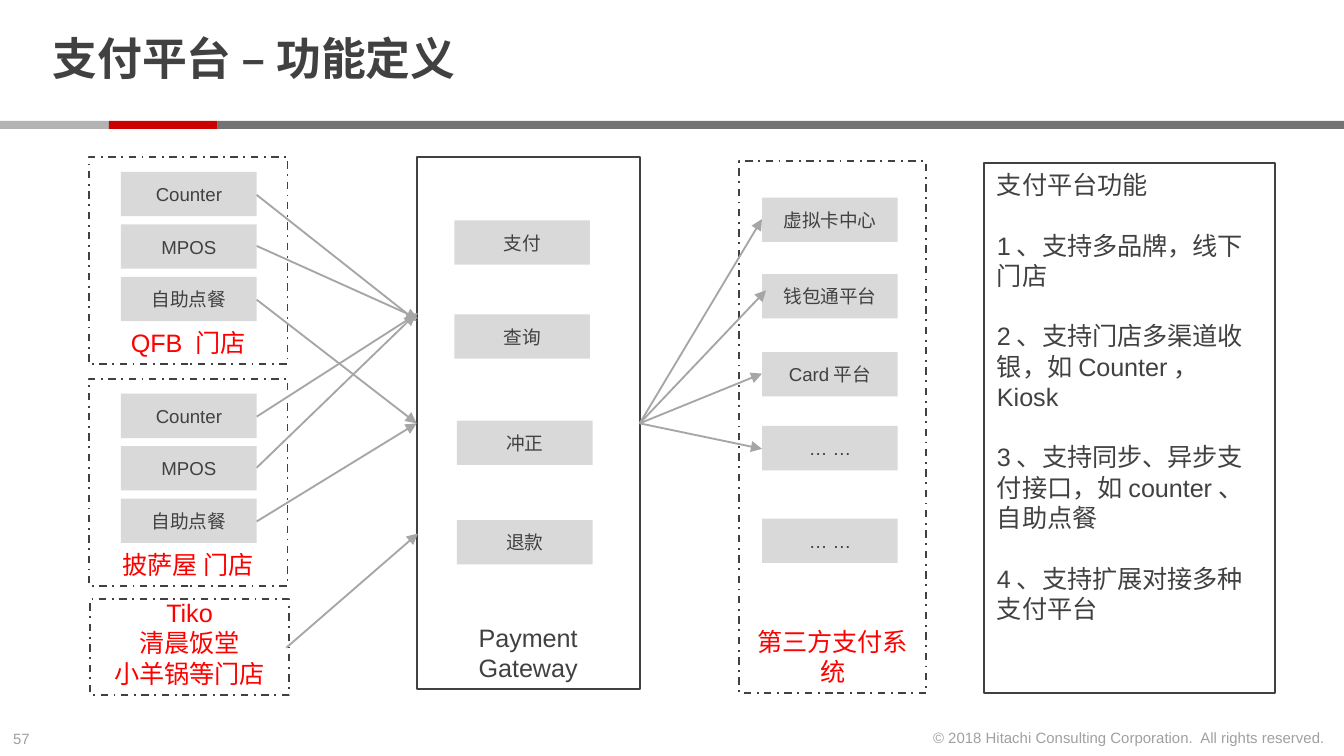
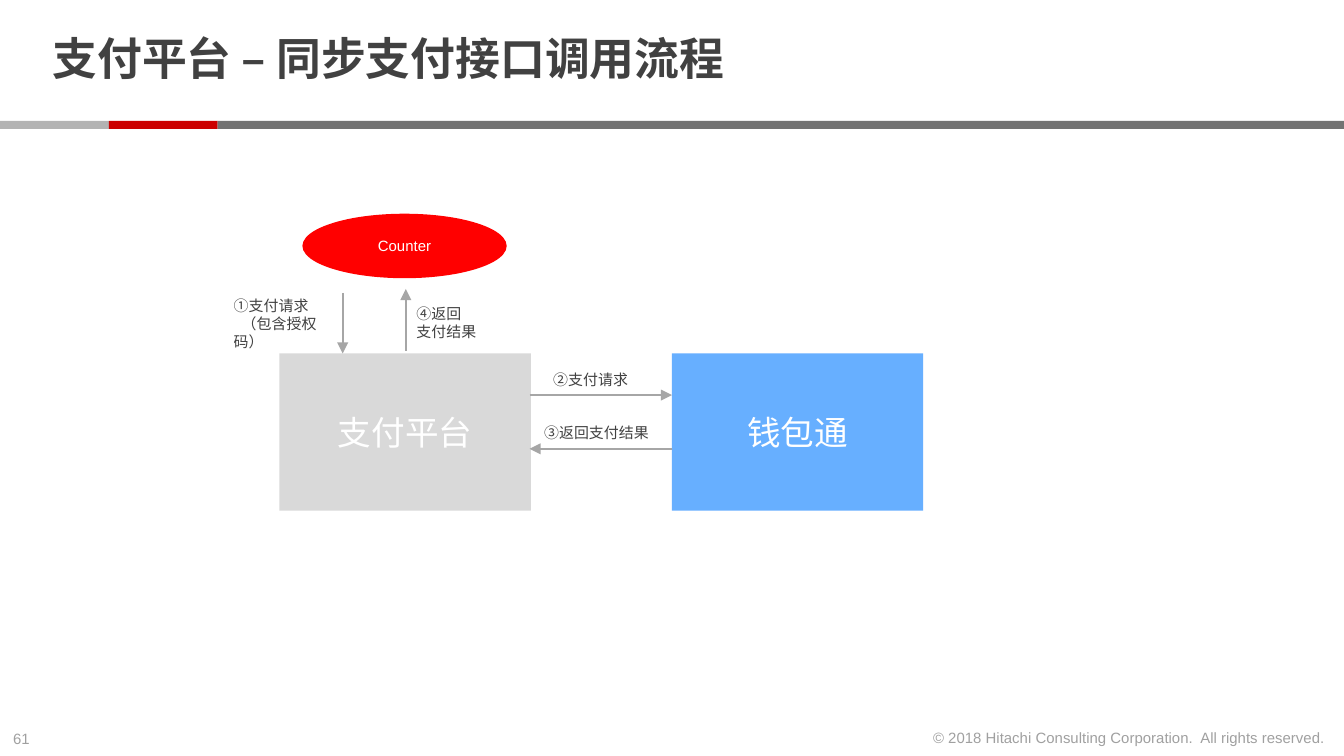
"""Build two slides on a payment platform: its functions and its synchronous call flow."""
from dataclasses import dataclass
from typing import Iterable, Optional

import lxml.etree
import pptx
import pptx.dml.color
import pptx.enum.dml
import pptx.enum.shapes
import pptx.enum.text
import pptx.oxml.ns
import pptx.presentation
import pptx.slide
import pptx.text.text
import pptx.util

Inches = pptx.util.Inches
Pt = pptx.util.Pt
Align = pptx.enum.text.PP_ALIGN
Anchor = pptx.enum.text.MSO_ANCHOR
Preset = pptx.enum.shapes.MSO_SHAPE


@dataclass(frozen=True)
class Theme:
    """Colours, fonts and type sizes of the deck."""
    ink: str = "414141"
    faint: str = "A0A0A0"
    red: str = "FF0000"
    white: str = "FFFFFF"
    card: str = "D9D9D9"
    blue: str = "67AFFF"
    arrow: str = "A6A6A6"
    band_light: str = "B3B3B3"
    band_red: str = "CC0000"
    band_dark: str = "737373"
    body_font: str = "Arial"
    title_font: str = "Noto Sans CJK SC"
    title_size: float = 24
    system_size: float = 18
    group_size: float = 13.5
    card_size: float = 10
    small_size: float = 8
    stroke: float = 1


THEME = Theme()
COPYRIGHT = "© 2018 Hitachi Consulting Corporation.\u00a0 All rights reserved."
SLIDE_WIDTH = Inches(10)
SLIDE_HEIGHT = SLIDE_WIDTH * 9 // 16
CARD_WIDTH, CARD_HEIGHT = 1.01, 0.33


@dataclass(frozen=True)
class Box:
    """A shape, or a plain text box when it has no preset."""
    left: float
    top: float
    width: float
    height: float
    text: tuple[str, ...] = ()
    size: float = THEME.card_size
    color: str = THEME.ink
    fill: Optional[str] = None
    outlined: bool = False
    dashed: bool = False
    preset: Optional[Preset] = Preset.RECTANGLE
    align: Align = Align.CENTER
    anchor: Anchor = Anchor.MIDDLE
    wrap: bool = True
    gap: float = 0
    last_indent: float = 0


@dataclass(frozen=True)
class Arrow:
    """A straight arrow between two points."""
    start: tuple[float, float]
    end: tuple[float, float]


def rgb(value: str) -> pptx.dml.color.RGBColor:
    """Turn a hex string into a colour."""
    return pptx.dml.color.RGBColor.from_string(value)


def style_font(paragraph: pptx.text.text._Paragraph, name: str, size: float,
               color: str, bold: bool = False) -> None:
    """Set the font of a whole paragraph."""
    paragraph.font.name = name
    paragraph.font.size = Pt(size)
    paragraph.font.bold = bold
    paragraph.font.color.rgb = rgb(color)


def draw_box(slide: pptx.slide.Slide, box: Box) -> None:
    """Draw one box with its text."""
    frame = [Inches(n) for n in (box.left, box.top, box.width, box.height)]
    if box.preset is None:
        shape = slide.shapes.add_textbox(*frame)
    else:
        shape = slide.shapes.add_shape(box.preset, *frame)
        shape.shadow.inherit = False
        if box.fill:
            shape.fill.solid()
            shape.fill.fore_color.rgb = rgb(box.fill)
        else:
            shape.fill.background()
        if box.outlined:
            shape.line.color.rgb = rgb(THEME.ink)
            shape.line.width = Pt(THEME.stroke)
            if box.dashed:
                shape.line.dash_style = pptx.enum.dml.MSO_LINE.DASH_DOT
        else:
            shape.line.fill.background()
    if not box.text:
        return
    body = shape.text_frame
    body.word_wrap = box.wrap
    body.vertical_anchor = box.anchor
    body.text = "\n".join(box.text)
    for index, paragraph in enumerate(body.paragraphs):
        paragraph.alignment = box.align
        if index and box.gap:
            paragraph.space_before = Pt(box.gap)
        style_font(paragraph, THEME.body_font, box.size, box.color)
    if box.last_indent:
        properties = body.paragraphs[-1]._p.get_or_add_pPr()
        properties.set("marL", "0")
        properties.set("indent", str(Inches(box.last_indent)))


def draw_arrow(slide: pptx.slide.Slide, arrow: Arrow) -> None:
    """Draw one arrow with a triangular head at its end."""
    connector = slide.shapes.add_connector(
        pptx.enum.shapes.MSO_CONNECTOR.STRAIGHT,
        *(Inches(n) for n in arrow.start + arrow.end))
    connector.line.color.rgb = rgb(THEME.arrow)
    connector.line.width = Pt(THEME.stroke)
    qn = pptx.oxml.ns.qn
    head = lxml.etree.SubElement(connector.line._get_or_add_ln(), qn("a:tailEnd"))
    head.set("type", "triangle")
    lxml.etree.SubElement(connector._element.spPr, qn("a:effectLst"))


def draw_all(slide: pptx.slide.Slide, boxes: Iterable[Box], arrows: Iterable[Arrow]) -> None:
    """Draw the boxes, then the arrows over them."""
    for box in boxes:
        draw_box(slide, box)
    for arrow in arrows:
        draw_arrow(slide, arrow)


def add_titled_slide(deck: pptx.presentation.Presentation, heading: str,
                     number: int) -> pptx.slide.Slide:
    """Add a slide with its title, colour band and footer."""
    slide = deck.slides.add_slide(deck.slide_layouts[5])
    title = slide.shapes.title
    title.left, title.top = Inches(0.29), Inches(0.06)
    title.width, title.height = Inches(7.71), Inches(0.8)
    body = title.text_frame
    body.text = heading
    body.auto_size = pptx.enum.text.MSO_AUTO_SIZE.NONE
    body.vertical_anchor = Anchor.MIDDLE
    body.margin_left = body.margin_right = Inches(0.1)
    body.margin_top = body.margin_bottom = 0
    paragraph = body.paragraphs[0]
    paragraph.alignment = Align.LEFT
    paragraph.line_spacing = 0.85
    style_font(paragraph, THEME.title_font, THEME.title_size, THEME.ink, bold=True)

    bands = ((0, 0.81, THEME.band_light), (0.81, 0.81, THEME.band_red),
             (1.62, 8.38, THEME.band_dark))
    for left, width, fill in bands:
        draw_box(slide, Box(left, 0.9, width, 0.06, fill=fill))
    footers = ((0, 5.38, 0.34, str(number), Align.LEFT),
               (6.8, 5.37, 3.16, COPYRIGHT, Align.RIGHT))
    for left, top, width, text, align in footers:
        draw_box(slide, Box(left, top, width, 0.24, (text,), THEME.small_size, THEME.faint,
                            preset=None, align=align, anchor=Anchor.TOP, wrap=False))
    return slide


def group(left: float, top: float, width: float, height: float, *text: str,
          dashed: bool = True) -> Box:
    """Describe an outlined group labelled at its foot."""
    return Box(left, top, width, height, text, THEME.group_size,
               THEME.red if dashed else THEME.ink,
               outlined=True, dashed=dashed, anchor=Anchor.BOTTOM)


def card(left: float, top: float, label: str) -> Box:
    """Describe a grey card."""
    return Box(left, top, CARD_WIDTH, CARD_HEIGHT, (label,), fill=THEME.card)


def build_functions(deck: pptx.presentation.Presentation) -> None:
    """Build the slide that defines the platform's functions."""
    slide = add_titled_slide(deck, "支付平台 – 功能定义", 57)
    boxes = [
        group(3.1, 1.17, 1.66, 3.96, "Payment Gateway", dashed=False),
        group(5.5, 1.2, 1.39, 3.96, "第三方支付系统"),
        group(0.67, 4.46, 1.48, 0.71, "Tiko", "清晨饭堂", "小羊锅等门店"),
        Box(7.32, 1.21, 2.17, 3.95,
            ("支付平台功能", "1、支持多品牌，线下门店",
             "2、支持门店多渠道收银，如Counter，Kiosk",
             "3、支持同步、异步支付接口，如counter、自助点餐",
             "4、支持扩展对接多种支付平台"),
            THEME.group_size, outlined=True, align=Align.LEFT, anchor=Anchor.TOP, gap=16.3),
    ]
    for store_top, store in ((1.17, "QFB 门店"), (2.82, "披萨屋 门店")):
        boxes.append(group(0.66, store_top, 1.48, 1.54, store))
        boxes += [card(0.9, store_top + 0.11 + 0.39 * row, channel)
                  for row, channel in enumerate(("Counter", "MPOS", "自助点餐"))]
    boxes += [card(*service) for service in (
        (3.38, 1.64, "支付"), (3.38, 2.34, "查询"), (3.4, 3.13, "冲正"), (3.4, 3.87, "退款"))]
    boxes += [card(5.67, top, provider) for top, provider in (
        (1.47, "虚拟卡中心"), (2.04, "钱包通平台"), (2.62, "Card平台"),
        (3.17, "… …"), (3.86, "… …"))]

    channel_routes = ((1.45, 3.1, 2.39), (1.83, 3.11, 2.37), (2.23, 3.1, 3.15),
                      (3.48, 3.09, 2.34), (3.1, 3.11, 2.33), (3.88, 3.1, 3.15))
    arrows = [Arrow((0.9 + CARD_WIDTH, start), (left, end))
              for start, left, end in channel_routes]
    arrows.append(Arrow((2.13, 4.82), (3.11, 3.97)))
    arrows += [Arrow((4.76, 3.15), provider)
               for provider in ((5.67, 1.63), (5.7, 2.16), (5.67, 2.78), (5.67, 3.34))]
    draw_all(slide, boxes, arrows)


def step(left: float, top: float, width: float, height: float, *text: str,
         align: Align = Align.LEFT, last_indent: float = 0) -> Box:
    """Describe the label of one step in the call flow."""
    return Box(left, top, width, height, text, THEME.small_size, preset=None,
               align=align, last_indent=last_indent)


def build_call_flow(deck: pptx.presentation.Presentation) -> None:
    """Build the slide that shows the synchronous payment calls."""
    slide = add_titled_slide(deck, "支付平台 – 同步支付接口调用流程", 61)
    boxes = [Box(2.25, 1.59, 1.52, 0.48, ("Counter",), THEME.small_size, THEME.white,
                 fill=THEME.red, preset=Preset.OVAL)]
    boxes += [Box(left, 2.63, 1.87, 1.17, (system,), THEME.system_size, THEME.white, fill=fill)
              for left, system, fill in ((2.08, "支付平台", THEME.card),
                                         (5, "钱包通", THEME.blue))]
    boxes += [
        step(1.64, 2.29, 0.99, 0.24, "①支付请求", "（包含授权码）", last_indent=0.06),
        step(3.98, 2.71, 0.83, 0.23, "②支付请求", align=Align.CENTER),
        step(3.95, 3.13, 1.06, 0.18, "③返回支付结果"),
        step(3, 2.27, 1.18, 0.26, "④返回", "支付结果"),
    ]
    arrows = [Arrow((2.55, 2.18), (2.55, 2.63)), Arrow((3.94, 2.94), (5, 2.94)),
              Arrow((5, 3.34), (3.94, 3.34)), Arrow((3.02, 2.61), (3.02, 2.15))]
    draw_all(slide, boxes, arrows)


def main() -> None:
    """Build and save the deck."""
    deck = pptx.Presentation()
    deck.slide_width, deck.slide_height = SLIDE_WIDTH, SLIDE_HEIGHT
    build_functions(deck)
    build_call_flow(deck)
    deck.save("out.pptx")


if __name__ == "__main__":
    main()
